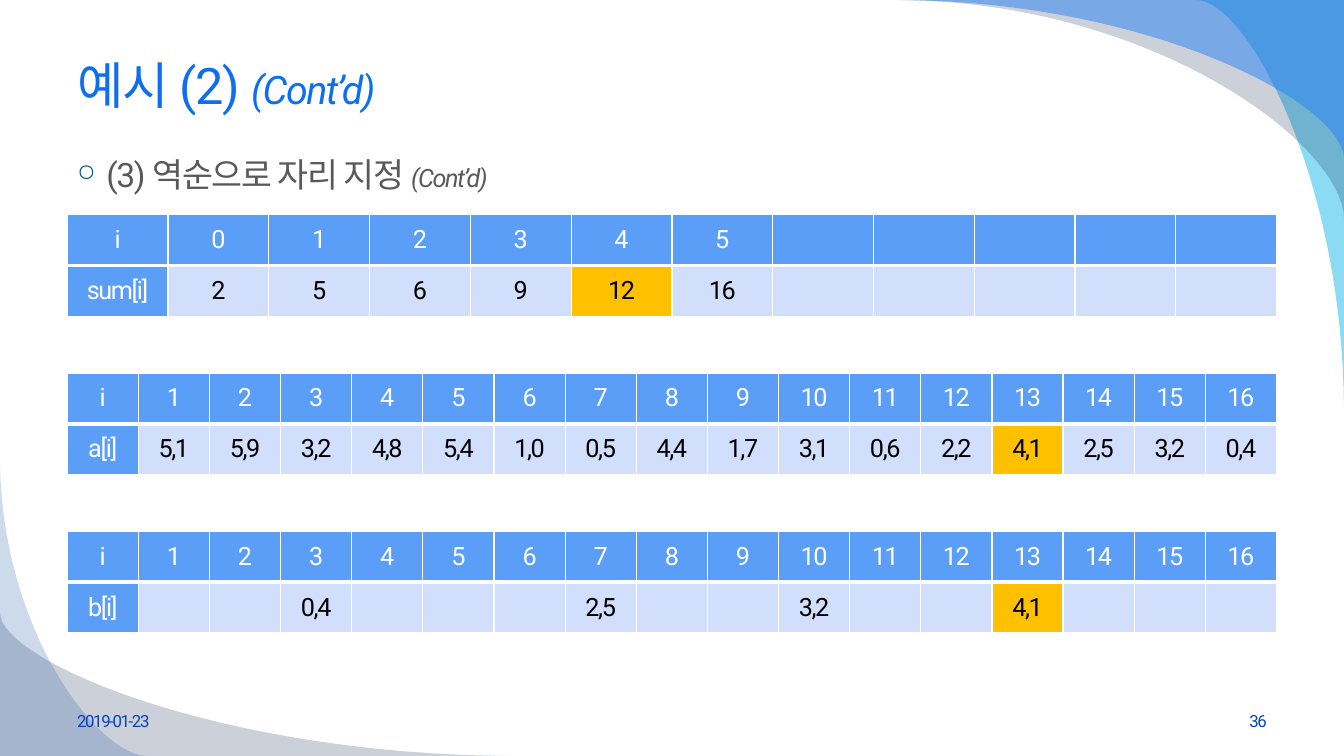
from lxml.etree import SubElement
from pptx import Presentation
from pptx.dml.color import RGBColor as RGB
from pptx.enum.text import MSO_ANCHOR as ANCHOR, PP_ALIGN as ALIGN
from pptx.oxml import parse_xml
from pptx.oxml.ns import nsdecls, qn
from pptx.util import Emu, Inches, Pt

TITLE_BLUE = RGB(0x0C, 0x6F, 0xF2)
BODY_GRAY = RGB(0x59, 0x59, 0x59)
FOOTER_BLUE = RGB(0x07, 0x43, 0xBC)
BULLET_TEAL = RGB(0x00, 0x58, 0x76)
HEADER_BLUE = RGB(0x5B, 0x9E, 0xF7)
CELL_BLUE = RGB(0xD2, 0xDF, 0xFC)
GOLD = RGB(0xFF, 0xC0, 0x00)
WHITE = RGB(0xFF, 0xFF, 0xFF)
BLACK = RGB(0x00, 0x00, 0x00)
CYAN = RGB(0x00, 0xB1, 0xE9)
NAVY = RGB(0x02, 0x17, 0x41)
AZURE = RGB(0x24, 0x7F, 0xF4)
DEEP_BLUE = RGB(0x08, 0x4A, 0xA1)


class SlideKit:
    """Slide with 12 columns between the side margins and 15 rows."""
    FONT = "Roboto"
    SPACING = -100
    CURVE = ((0, 0), (0.57, 0.01), (1, 0.66), (1, 1))
    STEPS = 32

    def __init__(self, prs):
        self.s = prs.slides.add_slide(prs.slide_layouts[6])
        self.w, self.h = prs.slide_width, prs.slide_height
        self.margin = self.w * 0.05
        self.col = self.w * 0.9 / 12
        self.row = self.h / 15

    def box(self, col, row, cols, rows):
        return (Emu(round(self.margin + col * self.col)), Emu(round(row * self.row)),
                Emu(round(cols * self.col)), Emu(round(rows * self.row)))

    def run(self, p, text, size, color, italic=None):
        r = p.add_run()
        r.text = text
        r.font.size, r.font.name, r.font.italic = Pt(size), self.FONT, italic
        r.font.color.rgb = color
        rPr = r.font._element
        rPr.set("spc", str(self.SPACING))
        SubElement(rPr, qn("a:ea")).set("typeface", self.FONT)

    def text(self, box, runs, color, anchor=ANCHOR.MIDDLE, align=ALIGN.LEFT):
        tf = self.s.shapes.add_textbox(*self.box(*box)).text_frame
        tf.word_wrap, tf.vertical_anchor = True, anchor
        p = tf.paragraphs[0]
        p.alignment = align
        for text, size, italic in runs:
            self.run(p, text, size, color, italic)
        return p

    def bullet(self, p, char, color, percent, indent):
        pPr = p._p.get_or_add_pPr()
        pPr.set("marL", str(Inches(indent)))
        pPr.set("indent", str(-Inches(indent)))
        clr = SubElement(pPr, qn("a:buClr"))
        SubElement(clr, qn("a:srgbClr")).set("val", str(color))
        SubElement(pPr, qn("a:buSzPct")).set("val", str(percent * 1000))
        SubElement(pPr, qn("a:buChar")).set("char", char)

    def swoosh(self, tip, corner, end, color, opacity):
        """Fill between a slide corner and a curve; points are shares of the slide."""
        tip, corner, end = ((x * self.w, y * self.h) for x, y in (tip, corner, end))
        points = [corner]
        for i in range(self.STEPS + 1):
            t = i / self.STEPS
            weights = ((1 - t) ** 3, 3 * t * (1 - t) ** 2, 3 * t * t * (1 - t), t ** 3)
            u, v = (sum(k * c[axis] for k, c in zip(weights, self.CURVE)) for axis in (0, 1))
            points.append(tuple(a + u * (b - a) + v * (c - b)
                                for a, b, c in zip(tip, corner, end)))
        points = [(round(x), round(y)) for x, y in points]
        builder = self.s.shapes.build_freeform(*points[0])
        builder.add_line_segments(points[1:], close=True)
        sp = builder.convert_to_shape()
        sp.shadow.inherit = False
        sp.line.fill.background()
        sp.fill.solid()
        sp.fill.fore_color.rgb = color
        clr = sp._element.spPr.find(qn("a:solidFill"))[0]
        SubElement(clr, qn("a:alpha")).set("val", str(opacity * 1000))

    def borders(self, cell, **widths):
        tcPr = cell._tc.get_or_add_tcPr()
        for i, side in enumerate("LRTB"):
            tcPr.insert(i, parse_xml(
                f'<a:ln{side} {nsdecls("a")} w="{Pt(widths.get(side, 1))}"><a:solidFill>'
                f'<a:srgbClr val="{WHITE}"/></a:solidFill></a:ln{side}>'))

    def table(self, row, rows, marked):
        """Index row above value row; column `marked` is highlighted."""
        box = self.box(0, row, 12, 2.02)
        tbl = self.s.shapes.add_table(len(rows), len(rows[0]), *box).table
        tbl.first_row = tbl.horz_banding = False
        for i, values in enumerate(rows):
            for j, value in enumerate(values):
                cell = tbl.cell(i, j)
                head = i == 0 or j == 0
                cell.vertical_anchor = ANCHOR.MIDDLE
                cell.fill.solid()
                cell.fill.fore_color.rgb = (HEADER_BLUE if head else
                                            GOLD if j == marked else CELL_BLUE)
                self.borders(cell, **({"B": 3} if i == 0 else {"T": 3}))
                p = cell.text_frame.paragraphs[0]
                p.alignment = ALIGN.CENTER
                if value:
                    self.run(p, value, 18, WHITE if head else BLACK)


def main():
    prs = Presentation()
    prs.slide_width, prs.slide_height = Inches(13.33), Inches(7.5)
    kit = SlideKit(prs)

    # Corner swooshes
    top_right, bottom_left = (1, 0), (0, 1)
    kit.swoosh((1, 0.54), top_right, (0.89, 0), CYAN, 45)
    kit.swoosh((0.67, 0), top_right, (1, 0.29), NAVY, 20)
    kit.swoosh((0.67, 0), top_right, (1, 0.21), AZURE, 49)
    kit.swoosh((0.38, 1), bottom_left, (0, 0.81), NAVY, 20)
    kit.swoosh((0, 0.61), bottom_left, (0.11, 1), DEEP_BLUE, 20)

    # Title and bullet
    kit.text((0, 0.66, 12, 2.02), [("예시 (2) ", 36, None), ("(Cont’d)", 28, True)], TITLE_BLUE)
    p = kit.text((0, 2.96, 12, 10.44),
                 [("(3) 역순으로 자리 지정 ", 24, None), ("(Cont’d)", 18, True)],
                 BODY_GRAY, ANCHOR.TOP)
    kit.bullet(p, "○", BULLET_TEAL, 70, 0.29)

    # Footer
    kit.text((0, 13.9, 3.11, 0.8), [("2019-01-23", 12, None)], FOOTER_BLUE)
    kit.text((8.89, 13.9, 3.11, 0.8), [("36", 12, None)], FOOTER_BLUE, align=ALIGN.RIGHT)

    # Counting sort tables
    sums = ["2", "5", "6", "9", "12", "16"]
    a = "5,1 5,9 3,2 4,8 5,4 1,0 0,5 4,4 1,7 3,1 0,6 2,2 4,1 2,5 3,2 0,4".split()
    placed = {3: "0,4", 7: "2,5", 10: "3,2", 13: "4,1"}
    index = range(1, len(a) + 1)
    header = ["i", *map(str, index)]
    spare = [""] * 5
    tables = [
        ([["i", *map(str, range(len(sums))), *spare], ["sum[i]", *sums, *spare]], 5),
        ([header, ["a[i]", *a]], 13),
        ([header, ["b[i]", *(placed.get(i, "") for i in index)]], 13),
    ]
    for n, (rows, marked) in enumerate(tables):
        kit.table(4.26 + 3.14 * n, rows, marked)

    prs.save("out.pptx")


if __name__ == "__main__":
    main()
